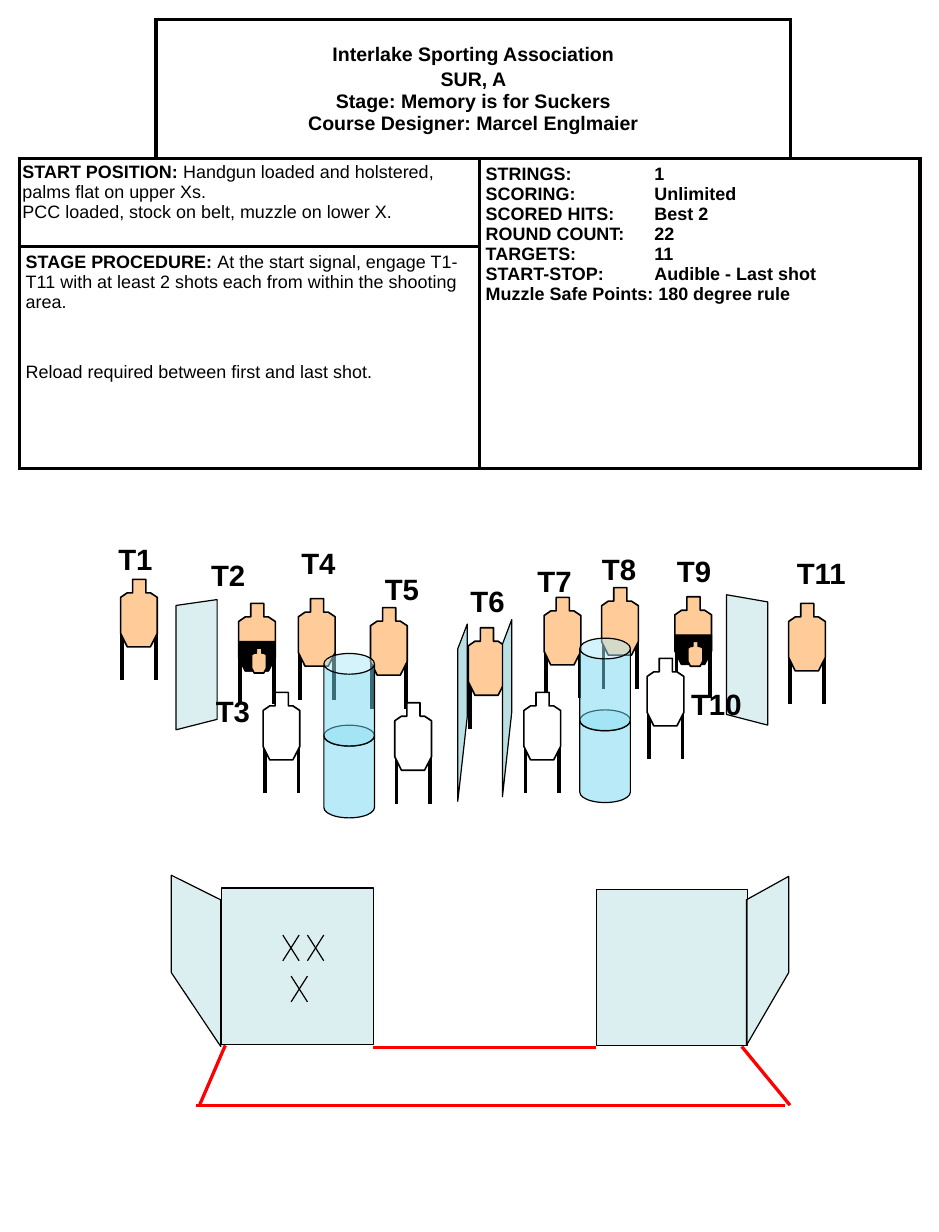
from dataclasses import dataclass

from lxml.etree import SubElement
from pptx import Presentation
from pptx.dml.color import RGBColor
from pptx.enum.shapes import MSO_CONNECTOR, MSO_SHAPE
from pptx.enum.text import MSO_ANCHOR, PP_ALIGN
from pptx.oxml.ns import qn
from pptx.util import Pt

BLACK = RGBColor(0x00, 0x00, 0x00)
WHITE = RGBColor(0xFF, 0xFF, 0xFF)
RED = RGBColor(0xFF, 0x00, 0x00)
TAN = RGBColor(0xFF, 0xCC, 0x99)
WALL_BLUE = RGBColor(0xBB, 0xE0, 0xE3)
BARREL_BLUE = RGBColor(0x73, 0xD9, 0xF1)
FONT = "Arial"

TARGET_OUTLINE = [(7.4, 0), (15.5, 0), (15.5, 8.3), (18.3, 8.3), (22.5, 11.1), (22.5, 33.2),
                  (18.3, 41.4), (4.1, 41.4), (0, 33.2), (0, 11.1), (4.1, 8.3), (7.4, 8.3)]
HARD_COVER = [(0, 23.4), (22.5, 23.4), (22.5, 32.8), (18, 41.4), (4.1, 41.4), (0, 33.2)]


@dataclass
class Target:
    left: float
    top: float
    fill: RGBColor = TAN
    covered: bool = False


@dataclass
class Wall:
    corners: list
    opacity: int = 50


@dataclass
class Label:
    text: str
    left: float
    top: float


FRONT_TARGET = Target(287.3, 385.2)
TAN_TARGETS = [Target(369.1, 360.6), Target(333.8, 366.6), Target(227.3, 372.9),
               Target(183.1, 367.4), Target(74, 355.5), Target(483.8, 370.3)]
LAST_TARGETS = [Target(242.2, 431.2, WHITE), Target(321.4, 424.9, WHITE),
                Target(161.4, 424.9, WHITE), Target(414, 366.2, covered=True),
                Target(146.4, 370.3, covered=True), Target(397, 404, WHITE)]
WALLS = [
    Wall([(105.1, 596.9), (135.4, 642.2), (135.4, 552.2), (105.1, 537.1)]),
    Wall([(470.9, 369.4), (445.7, 365), (445.7, 438.5), (470.9, 445)]),
    Wall([(286.6, 439.9), (280.8, 491.8), (280.8, 398.2), (286.6, 383)], 100),
    Wall([(483.8, 596.9), (457.9, 641.5), (457.9, 552.2), (483.8, 537.8)]),
    Wall([(108, 371.5), (133.2, 367.9), (133.2, 441.4), (108, 447.8)]),
    Wall([(313.9, 437), (308.2, 488.9), (308.2, 395.3), (313.9, 380.2)], 100),
]
FRONT_WALLS = [(136.1, 545), (365.8, 545.8)]
BARREL_STACKS = [(355.7, 435.6), (198.7, 445)]
X_MARKS = [(173.5, 573.8), (188.6, 573.8), (178.6, 599)]
FAULT_LINES = [(138.2, 641.5, 122.4, 678.2), (365.8, 643, 229, 643),
               (484.6, 678.2, 455, 642.2), (481.7, 678.2, 120.2, 678.2)]
LABELS = [
    Label("T1", 65.5, 328.3), Label("T2", 122.4, 338.4), Label("T3", 125.3, 421.9),
    Label("T4", 177.8, 331.2), Label("T5", 229, 347), Label("T6", 281.5, 354.2),
    Label("T7", 322.6, 342), Label("T8", 362.2, 334.8), Label("T9", 408.2, 336.2),
    Label("T11", 481.7, 337), Label("T10", 416.9, 417.6),
]
HEADINGS = ["SUR, A", "Stage: Memory is for Suckers", "Course Designer: Marcel Englmaier"]
FACTS = [("STRINGS:", "1"), ("SCORING:", "Unlimited"), ("SCORED HITS:", "Best 2"),
         ("ROUND COUNT:", "22"), ("TARGETS:", "11"), ("START-STOP:", "Audible - Last shot")]


def add_span(para, text: str, size: float, bold: bool = False) -> None:
    span = para.add_run()
    span.text = text
    span.font.name, span.font.size, span.font.bold = FONT, Pt(size), bold
    span.font.color.rgb = BLACK


def style_shape(shape, fill: RGBColor, width: float, opacity: int = 100) -> None:
    shape.shadow.inherit = False
    shape.fill.solid()
    shape.fill.fore_color.rgb = fill
    if opacity < 100:
        color = shape.fill._xPr.find(qn("a:solidFill"))[0]
        SubElement(color, qn("a:alpha"), val=str(opacity * 1000))
    shape.line.color.rgb = BLACK
    shape.line.width = Pt(width)


def add_line(page, x1, y1, x2, y2, color: RGBColor, width: float) -> None:
    line = page.shapes.add_connector(MSO_CONNECTOR.STRAIGHT, Pt(x1), Pt(y1), Pt(x2), Pt(y2))
    line.line.color.rgb = color
    line.line.width = Pt(width)
    SubElement(line._element.spPr, qn("a:effectLst"))


def add_polygon(page, points: list, fill: RGBColor, width: float, opacity: int = 100) -> None:
    corners = [(Pt(x), Pt(y)) for x, y in points]
    builder = page.shapes.build_freeform(*corners[0])
    builder.add_line_segments(corners[1:], close=True)
    style_shape(builder.convert_to_shape(), fill, width, opacity)


def moved(points: list, left: float, top: float, scale_x=1.0, scale_y=1.0) -> list:
    return [(left + x * scale_x, top + y * scale_y) for x, y in points]


def add_target(page, target: Target) -> None:
    left, top = target.left, target.top
    for leg in (left + 1, left + 21.7):
        add_line(page, leg, top + 30.4, leg, top + 62, BLACK, 2.25)
    add_polygon(page, moved(TARGET_OUTLINE, left, top), target.fill, 1)
    if target.covered:
        add_polygon(page, moved(HARD_COVER, left, top), BLACK, 0)
        add_polygon(page, moved(TARGET_OUTLINE, left + 7.9, top + 27.4, 0.41, 0.37), TAN, 1)


def add_preset(page, preset, left, top, width, height, fill: RGBColor):
    shape = page.shapes.add_shape(preset, Pt(left), Pt(top), Pt(width), Pt(height))
    style_shape(shape, fill, 0.75, 50)
    return shape


def add_label(page, label: Label) -> None:
    width = 42 if len(label.text) == 2 else 52.6
    box = page.shapes.add_textbox(Pt(label.left), Pt(label.top), Pt(width), Pt(29))
    box.text_frame.word_wrap = True
    add_span(box.text_frame.paragraphs[0], label.text, 18, True)


def set_borders(cell, sides: str) -> None:
    """Draw the sides named by letters L, R, T and B; they must precede the fill."""
    for side in "LRTB":
        border = SubElement(cell._tc.get_or_add_tcPr(), qn(f"a:ln{side}"), w=str(Pt(2.25)))
        if side in sides:
            color = SubElement(SubElement(border, qn("a:solidFill")), qn("a:srgbClr"))
            color.set("val", str(BLACK))
        else:
            SubElement(border, qn("a:noFill"))


def set_margins(cell, across: float, down: float) -> None:
    cell.margin_left = cell.margin_right = Pt(across)
    cell.margin_top = cell.margin_bottom = Pt(down)


def add_stage_table(page) -> None:
    widths, heights = [83.5, 198.7, 190.8, 79.2], [85, 54, 136.5]
    table = page.shapes.add_table(3, 4, Pt(12.2), Pt(12.2), Pt(sum(widths)),
                                  Pt(sum(heights))).table
    table.first_row = table.horz_banding = False
    for column, width in zip(table.columns, widths):
        column.width = Pt(width)
    for row, height in zip(table.rows, heights):
        row.height = Pt(height)
    corner_sides = {(0, 0): "RB", (0, 3): "LB"}
    for r in range(3):
        for c in range(4):
            cell = table.cell(r, c)
            set_borders(cell, corner_sides.get((r, c), "LRTB"))
            cell.fill.solid()
            cell.fill.fore_color.rgb = WHITE
            set_margins(cell, 3.6, 3.6)
    for first, last in [((0, 1), (0, 2)), ((1, 0), (1, 1)), ((1, 2), (2, 3)), ((2, 0), (2, 1))]:
        table.cell(*first).merge(table.cell(*last))

    heading = table.cell(0, 1)
    heading.vertical_anchor = MSO_ANCHOR.MIDDLE
    para = heading.text_frame.paragraphs[0]
    para.alignment = PP_ALIGN.CENTER
    add_span(para, "Interlake Sporting Association", 12, True)
    para = heading.text_frame.add_paragraph()
    para.alignment, para.space_before = PP_ALIGN.CENTER, Pt(2.4)
    for index, text in enumerate(HEADINGS):
        if index:
            para.add_line_break()
        add_span(para, text, 12, True)

    start = table.cell(1, 0)
    set_margins(start, 1.6, 2.2)
    fill_notes(start, "START POSITION: ",
               "Handgun loaded and holstered, palms flat on upper Xs.",
               "PCC loaded, stock on belt, muzzle on lower X.", 0.5)
    fill_notes(table.cell(2, 0), "STAGE PROCEDURE: ",
               "At the start signal, engage T1-T11 with at least 2 shots each "
               "from within the shooting area.",
               "Reload required between first and last shot.", 30.5)

    frame = table.cell(1, 2).text_frame
    for index, (name, value) in enumerate(FACTS):
        para = frame.add_paragraph() if index else frame.paragraphs[0]
        tabs = SubElement(para._p.get_or_add_pPr(), qn("a:tabLst"))
        SubElement(tabs, qn("a:tab"), pos=str(Pt(103.5)), algn="l")
        add_span(para, f"{name}\t{value}", 11, True)
    add_span(frame.add_paragraph(), "Muzzle Safe Points: 180 degree rule", 11, True)


def fill_notes(cell, title: str, text: str, closing: str, gap: float) -> None:
    para = cell.text_frame.paragraphs[0]
    add_span(para, title, 11, True)
    add_span(para, text, 11)
    para = cell.text_frame.add_paragraph()
    para.space_before = Pt(gap)
    add_span(para, closing, 11)


def main() -> None:
    deck = Presentation()
    deck.slide_width, deck.slide_height = Pt(576), Pt(756)
    page = deck.slides.add_slide(deck.slide_layouts[6])
    add_stage_table(page)
    for ends in FAULT_LINES:
        add_line(page, *ends, RED, 2)
    add_target(page, FRONT_TARGET)
    for left, top in FRONT_WALLS:
        add_preset(page, MSO_SHAPE.RECTANGLE, left, top, 92.9, 95.8, WALL_BLUE)
    for wall in WALLS:
        add_polygon(page, wall.corners, WALL_BLUE, 0.75, wall.opacity)
    for target in TAN_TARGETS:
        add_target(page, target)
    for left, top in BARREL_STACKS:
        for barrel_top in (top, top - 44):
            barrel = add_preset(page, MSO_SHAPE.CAN, left, barrel_top, 31, 56.9, BARREL_BLUE)
            barrel.adjustments[0] = 0.41
    for left, top in X_MARKS:
        add_line(page, left + 10, top, left, top + 15.8, BLACK, 0.75)
        add_line(page, left, top, left + 10, top + 15.8, BLACK, 0.75)
    for target in LAST_TARGETS:
        add_target(page, target)
    for label in LABELS:
        add_label(page, label)
    deck.save("out.pptx")


if __name__ == "__main__":
    main()
